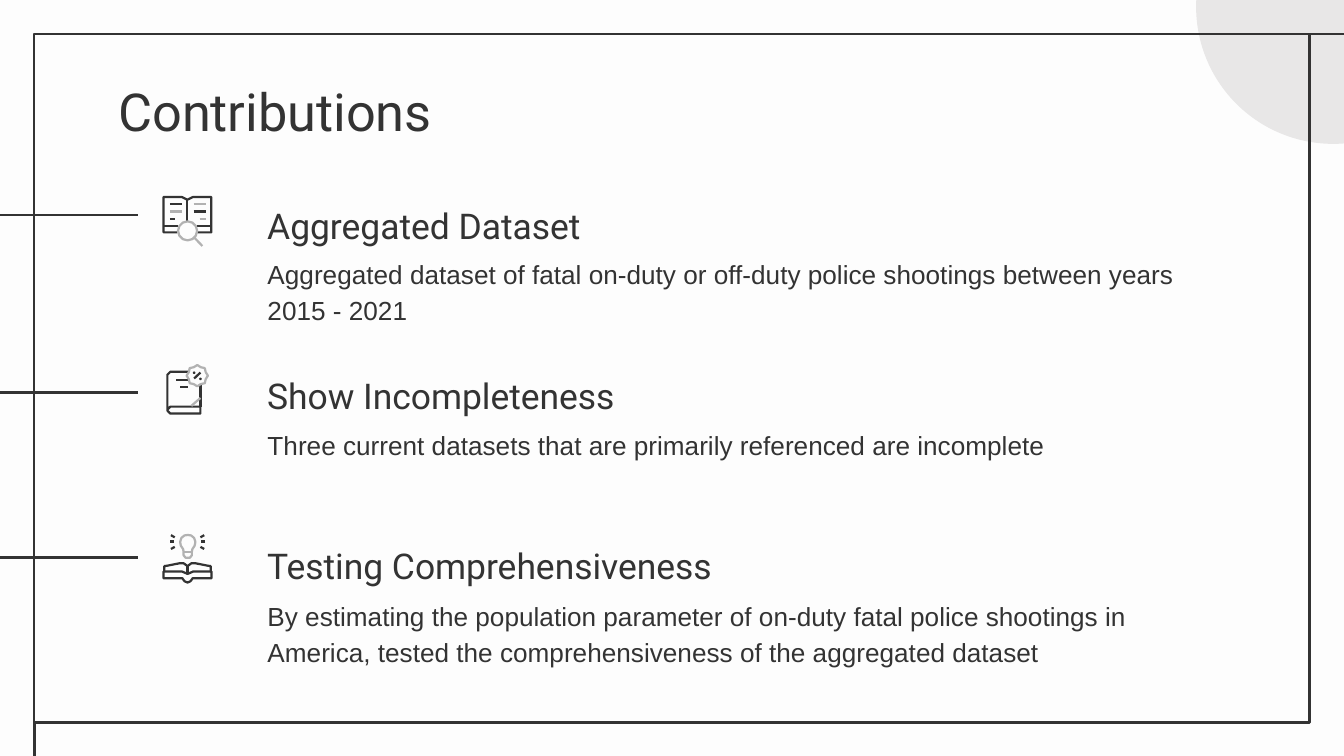
from pptx import Presentation
from pptx.dml.color import RGBColor
from pptx.enum import shapes, text
from pptx.util import Pt
from lxml import etree

DARK, GREY, CIRCLE, PAPER = "333333", "B2B2B2", "E8E7E7", "FDFDFD"
A = "{http://schemas.openxmlformats.org/drawingml/2006/main}"
OVAL = shapes.MSO_SHAPE.OVAL
BADGE = shapes.MSO_SHAPE.STAR_8_POINT

# Content: heading, description, tops of heading and description, y of side line
TITLE = "Contributions"
ITEMS = [
    ("Aggregated Dataset",
     "Aggregated dataset of fatal on-duty or off-duty police shootings between years 2015 - 2021",
     97.7, 128.9, 115.2),
    ("Show Incompleteness",
     "Three current datasets that are primarily referenced are incomplete",
     188.8, 220.2, 210.3),
    ("Testing Comprehensiveness",
     "By estimating the population parameter of on-duty fatal police shootings in America, "
     "tested the comprehensiveness of the aggregated dataset",
     279.4, 311.7, 298.6),
]

# Icons: top, strokes (colour, points), rounds (kind, line, fill, centre x, y, radius)
ICON_LEFT, ICON_WIDTH, ICON_STROKE = 87, 27, 1.2
RAYS = [((4.1, 4.1), (6.1, 4.1)), ((4.6, 0.7), (6.6, 1.9)), ((4.6, 8.1), (6.6, 7))]
BOOK_SEARCH = (105, [
    (DARK, [(8, 19.5), (0.6, 19.5), (0.6, 0.6), (10.5, 0.6), (13.4, 2), (16.3, 0.6),
            (26.2, 0.6), (26.2, 19.5), (18.8, 19.5)]),
    (DARK, [(0.6, 16), (8.5, 16)]), (DARK, [(18.3, 16), (26.2, 16)]),
    (DARK, [(13.4, 2), (13.4, 13.5)]),
    (DARK, [(4, 4.4), (10.4, 4.4)]), (GREY, [(16.8, 4.4), (23.2, 4.4)]),
    (GREY, [(4, 8.3), (10.4, 8.3)]), (DARK, [(16.8, 8.3), (23.2, 8.3)]),
    (DARK, [(4, 12.2), (6.8, 12.2)]), (GREY, [(20, 12.2), (23.2, 12.2)]),
    (GREY, [(17.3, 22.5), (21.4, 26.8)]),
], [(OVAL, GREY, None, 13.5, 18.7, 5.1)])
BOOK_BADGE = (195, [
    (DARK, [(14.4, 4.2), (4.3, 4.2), (2.7, 5.8), (2.7, 25), (4.3, 26.6), (20.4, 26.6),
            (20.4, 22.9), (4.3, 22.9), (2.7, 24.5)]),
    (DARK, [(20.4, 22.9), (20.4, 11.5)]),
    (DARK, [(7.4, 8.6), (14.8, 8.6)]), (DARK, [(9.6, 12.2), (13.6, 12.2)]),
    (GREY, [(15.5, 22.5), (20.4, 18.2)]), (DARK, [(17, 7.8), (20.4, 4.6)]),
], [(BADGE, GREY, None, 18.7, 6.3, 5.7),
    (OVAL, None, DARK, 17, 4.7, 0.7), (OVAL, None, DARK, 20.4, 8, 0.7)])
BOOK_BULB = (286, [
    (GREY, [(11.4, 9.6), (11.1, 8.2), (9.9, 6.4), (9.5, 4.4), (10.2, 2.2), (11.8, 0.9),
            (13.6, 0.6), (15.4, 0.9), (17, 2.2), (17.7, 4.4), (17.3, 6.4), (16.1, 8.2),
            (15.8, 9.6), (15.8, 11.5), (14.8, 12.8), (12.4, 12.8), (11.4, 11.5), (11.4, 9.6)]),
    (GREY, [(11.4, 9.8), (15.8, 9.8)]),
    (DARK, [(1.1, 20.2), (0.6, 20.2), (0.6, 23.8), (10.7, 23.8), (11.9, 25.4), (13.5, 26.1),
            (15.1, 25.4), (16.3, 23.8), (26.4, 23.8), (26.4, 20.2), (25.9, 20.2),
            (25.9, 17.3), (24, 17), (18, 15.8), (15.5, 15.8), (13.5, 17.3), (11.5, 15.8),
            (9, 15.8), (3, 17), (1.1, 17.3), (1.1, 20.2)]),
    (DARK, [(1.1, 20.2), (10.5, 20.2), (13.5, 21.5), (16.5, 20.2), (25.9, 20.2)]),
    (DARK, [(13.5, 17.3), (13.5, 21.5)]),
] + [(DARK, ray) for ray in RAYS]
  + [(DARK, [(ICON_WIDTH - x, y) for x, y in ray]) for ray in RAYS], [])

deck = Presentation()
deck.slide_width, deck.slide_height = Pt(720), Pt(405)
page = deck.slides.add_slide(deck.slide_layouts.get_by_name("Comparison"))


def colour(value):
    return RGBColor.from_string(value)


def paint(shape, fill=None, line=None, weight=1.5):
    shape.shadow.inherit = False
    if fill:
        shape.fill.solid()
        shape.fill.fore_color.rgb = colour(fill)
    else:
        shape.fill.background()
    if line:
        shape.line.color.rgb = colour(line)
        shape.line.width = Pt(weight)
    else:
        shape.line.fill.background()


def add_shape(kind, left, top, width, height, **look):
    shape = page.shapes.add_shape(kind, Pt(left), Pt(top), Pt(width), Pt(height))
    paint(shape, **look)
    return shape


def add_line(start, end, line=DARK, weight=1.5):
    connector = page.shapes.add_connector(
        shapes.MSO_CONNECTOR.STRAIGHT, *(Pt(v) for v in (*start, *end)))
    connector.line.color.rgb = colour(line)
    connector.line.width = Pt(weight)
    etree.SubElement(connector._element.spPr, A + "effectLst")


def write(box, words, place, size, font, spacing=1.15, anchor=text.MSO_ANCHOR.TOP):
    box.left, box.top, box.width, box.height = (Pt(v) for v in place)
    frame = box.text_frame
    frame.word_wrap = True
    frame.auto_size = text.MSO_AUTO_SIZE.NONE
    frame.vertical_anchor = anchor
    frame.margin_left = frame.margin_right = frame.margin_top = frame.margin_bottom = Pt(7.2)
    para = frame.paragraphs[0]
    para.alignment = text.PP_ALIGN.LEFT
    para.line_spacing = spacing
    para.space_before = Pt(0)
    props = para._p.get_or_add_pPr()
    props.set("marL", "0")
    props.set("indent", "0")
    etree.SubElement(props, A + "buNone")
    span = para.add_run()
    span.text = words
    span.font.name, span.font.size, span.font.bold = font, Pt(size), False
    span.font.color.rgb = colour(DARK)


def draw_icon(top, strokes, rounds):
    for tint, points in strokes:
        points = [(ICON_LEFT + x, top + y) for x, y in points]
        if len(points) == 2:
            add_line(*points, line=tint, weight=ICON_STROKE)
            continue
        corners = [(Pt(x), Pt(y)) for x, y in points]
        builder = page.shapes.build_freeform(*corners[0])
        builder.add_line_segments(corners[1:], close=points[0] == points[-1])
        paint(builder.convert_to_shape(), line=tint, weight=ICON_STROKE)
    for kind, line, fill, x, y, radius in rounds:
        shape = add_shape(kind, ICON_LEFT + x - radius, top + y - radius,
                          2 * radius, 2 * radius, line=line, fill=fill, weight=ICON_STROKE)
        if kind == BADGE:
            shape.adjustments[0] = 0.43


# Background and frame
page.background.fill.solid()
page.background.fill.fore_color.rgb = colour(PAPER)
add_shape(OVAL, 640.8, -69.8, 146.9, 146.9, fill=CIRCLE)
for *_, line_y in ITEMS:
    add_line((0, line_y), (74.2, line_y))
add_shape(shapes.MSO_SHAPE.RECTANGLE, 18.2, 18.2, 683.3, 368.8, line=DARK)
add_line((725.8, 18.2), (702, 18.2))
add_line((18.7, 387), (18.7, 411.8))

# Title, headings and descriptions
write(page.shapes.title, TITLE, (56.2, 35.3, 607, 45.4), 28, "Roboto", spacing=1.0)
bodies = [box for box in page.placeholders if box.placeholder_format.idx > 0]
for (heading, words, heading_top, words_top, _), body in zip(ITEMS, bodies):
    write(body, words, (136.1, words_top, 520.6, 41.8), 14, "Arial")
    box = page.shapes.add_textbox(0, 0, 0, 0)
    write(box, heading, (136.1, heading_top, 520.6, 41.8), 19, "Roboto",
          anchor=text.MSO_ANCHOR.BOTTOM)
for spare in bodies[len(ITEMS):]:
    spare._element.getparent().remove(spare._element)

# Icons
for icon in (BOOK_SEARCH, BOOK_BADGE, BOOK_BULB):
    draw_icon(*icon)

deck.save("out.pptx")
